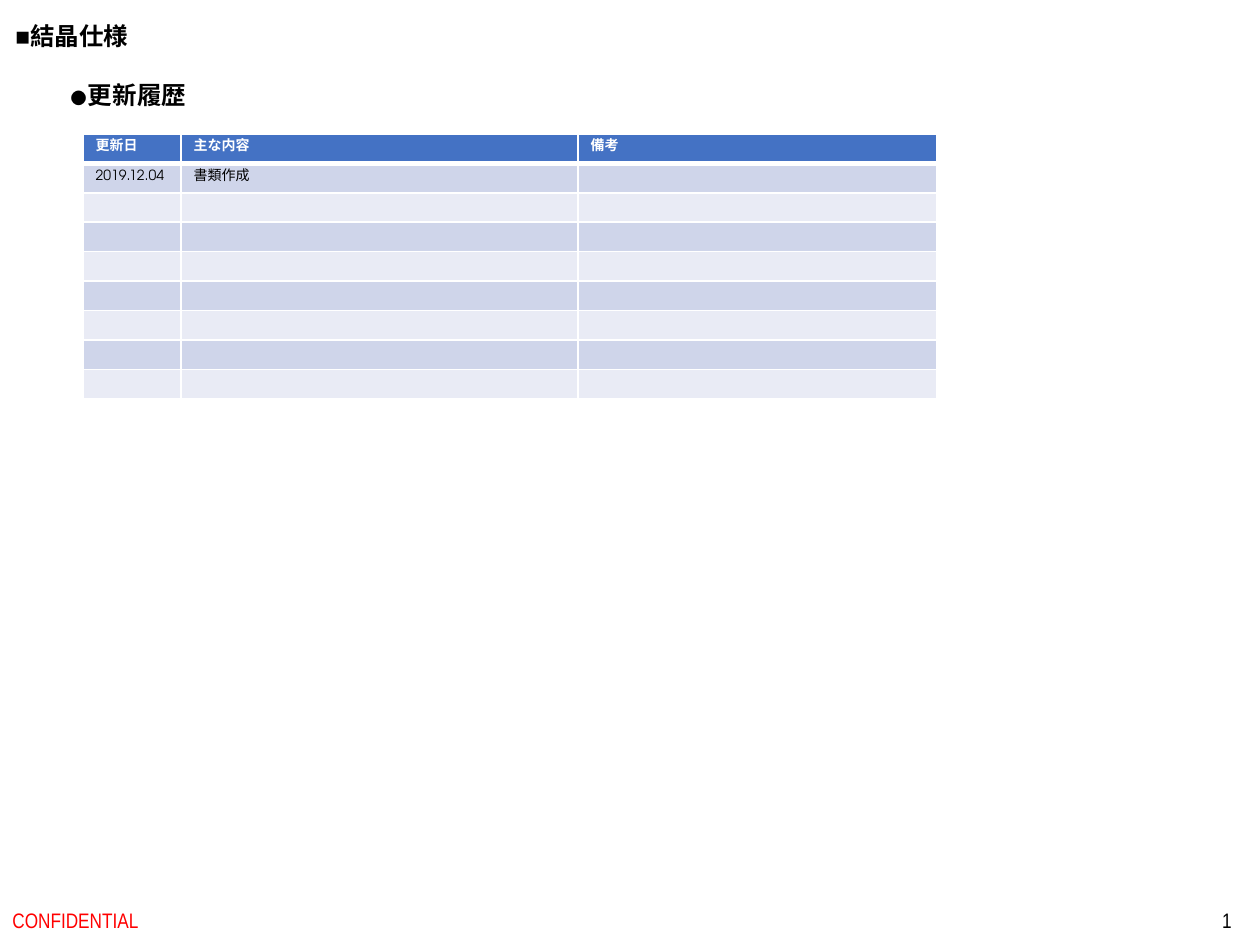
import dataclasses

import pptx
import pptx.dml.color
import pptx.enum.text
import pptx.oxml.ns
import pptx.util
from lxml import etree

ANCHOR = pptx.enum.text.MSO_ANCHOR
ALIGN = pptx.enum.text.PP_ALIGN


@dataclasses.dataclass(frozen=True)
class Theme:
    ink: str = "000000"
    alert: str = "FF0000"
    white: str = "FFFFFF"
    header: str = "4472C4"
    bands: tuple = ("CFD5EA", "E9EBF5")
    heading_font: str = "Arial"
    body_font: str = "TeX Gyre Adventor"
    footer_font: str = "Arial Narrow"
    heading_size: int = 14
    footer_size: int = 12
    cell_size: int = 8
    grid_line: int = 1
    header_line: int = 3


THEME = Theme()

# text, box in px, font
HEADINGS = [
    ("■結晶仕様", (3, 15, 149, 43), THEME.heading_font),
    ("●更新履歴", (57, 74, 149, 43), THEME.body_font),
]
# text, box in px, colour, alignment
FOOTERS = [
    ("CONFIDENTIAL", (0, 895, 426, 50), THEME.alert, ALIGN.LEFT),
    ("1", (960, 895, 284, 50), THEME.ink, ALIGN.RIGHT),
]
HISTORY = [
    ("更新日", "主な内容", "備考"),
    ("2019.12.04", "書類作成", ""),
]
HISTORY_ROWS = 9
HISTORY_BOX = (83, 134, 854, 265)
HISTORY_COLUMNS = (98, 397, 359)


def px(value):
    return pptx.util.Emu(round(value * 914400 / 126))


def add_run(paragraph, text, font, size, color, bold=False):
    run = paragraph.add_run()
    run.text = text
    run.font.name = font
    run.font.size = pptx.util.Pt(size)
    run.font.bold = bold
    run.font.color.rgb = pptx.dml.color.RGBColor.from_string(color)
    east_asian = etree.Element(pptx.oxml.ns.qn("a:ea"), typeface=font)
    run.font._element.find(pptx.oxml.ns.qn("a:latin")).addnext(east_asian)


def add_text_box(slide, box, wrap):
    frame = slide.shapes.add_textbox(*map(px, box)).text_frame
    frame.word_wrap = wrap
    return frame


def add_borders(cell, widths):
    """Draw white cell borders; widths are points for left, right, top, bottom."""
    properties = cell._tc.get_or_add_tcPr()
    for side, width in zip("LRTB", widths):
        line = etree.SubElement(properties, pptx.oxml.ns.qn(f"a:ln{side}"),
                                w=str(pptx.util.Pt(width)))
        fill = etree.SubElement(line, pptx.oxml.ns.qn("a:solidFill"))
        etree.SubElement(fill, pptx.oxml.ns.qn("a:srgbClr"), val=THEME.white)


def fill_cell(cell, row, text):
    is_header = row == 0
    thin, thick = THEME.grid_line, THEME.header_line
    add_borders(cell, (thin, thin, thick if row == 1 else thin, thick if is_header else thin))
    cell.fill.solid()
    color = THEME.header if is_header else THEME.bands[(row - 1) % 2]
    cell.fill.fore_color.rgb = pptx.dml.color.RGBColor.from_string(color)
    cell.margin_bottom = 0
    paragraph = cell.text_frame.paragraphs[0]
    if text:
        add_run(paragraph, text, THEME.body_font, THEME.cell_size,
                THEME.white if is_header else THEME.ink, is_header)
    else:
        # An empty cell needs its own small type size to keep the row low.
        end = etree.SubElement(paragraph._p, pptx.oxml.ns.qn("a:endParaRPr"),
                               sz=str(THEME.cell_size * 100))
        etree.SubElement(end, pptx.oxml.ns.qn("a:latin"), typeface=THEME.body_font)


def add_history(slide):
    table = slide.shapes.add_table(HISTORY_ROWS, len(HISTORY_COLUMNS),
                                   *map(px, HISTORY_BOX)).table
    for column, width in zip(table.columns, HISTORY_COLUMNS):
        column.width = px(width)
    for row in range(HISTORY_ROWS):
        entry = HISTORY[row] if row < len(HISTORY) else ("",) * len(HISTORY_COLUMNS)
        for column, text in enumerate(entry):
            fill_cell(table.cell(row, column), row, text)


def main():
    deck = pptx.Presentation()
    deck.slide_width, deck.slide_height = px(1260), px(945)
    slide = deck.slides.add_slide(deck.slide_layouts[6])

    for text, box, font in HEADINGS:
        frame = add_text_box(slide, box, wrap=False)
        frame.auto_size = pptx.enum.text.MSO_AUTO_SIZE.SHAPE_TO_FIT_TEXT
        add_run(frame.paragraphs[0], text, font, THEME.heading_size, THEME.ink, bold=True)

    for text, box, color, alignment in FOOTERS:
        frame = add_text_box(slide, box, wrap=True)
        frame.vertical_anchor = ANCHOR.MIDDLE
        frame.paragraphs[0].alignment = alignment
        add_run(frame.paragraphs[0], text, THEME.footer_font, THEME.footer_size, color)

    add_history(slide)
    deck.save("out.pptx")


if __name__ == "__main__":
    main()
